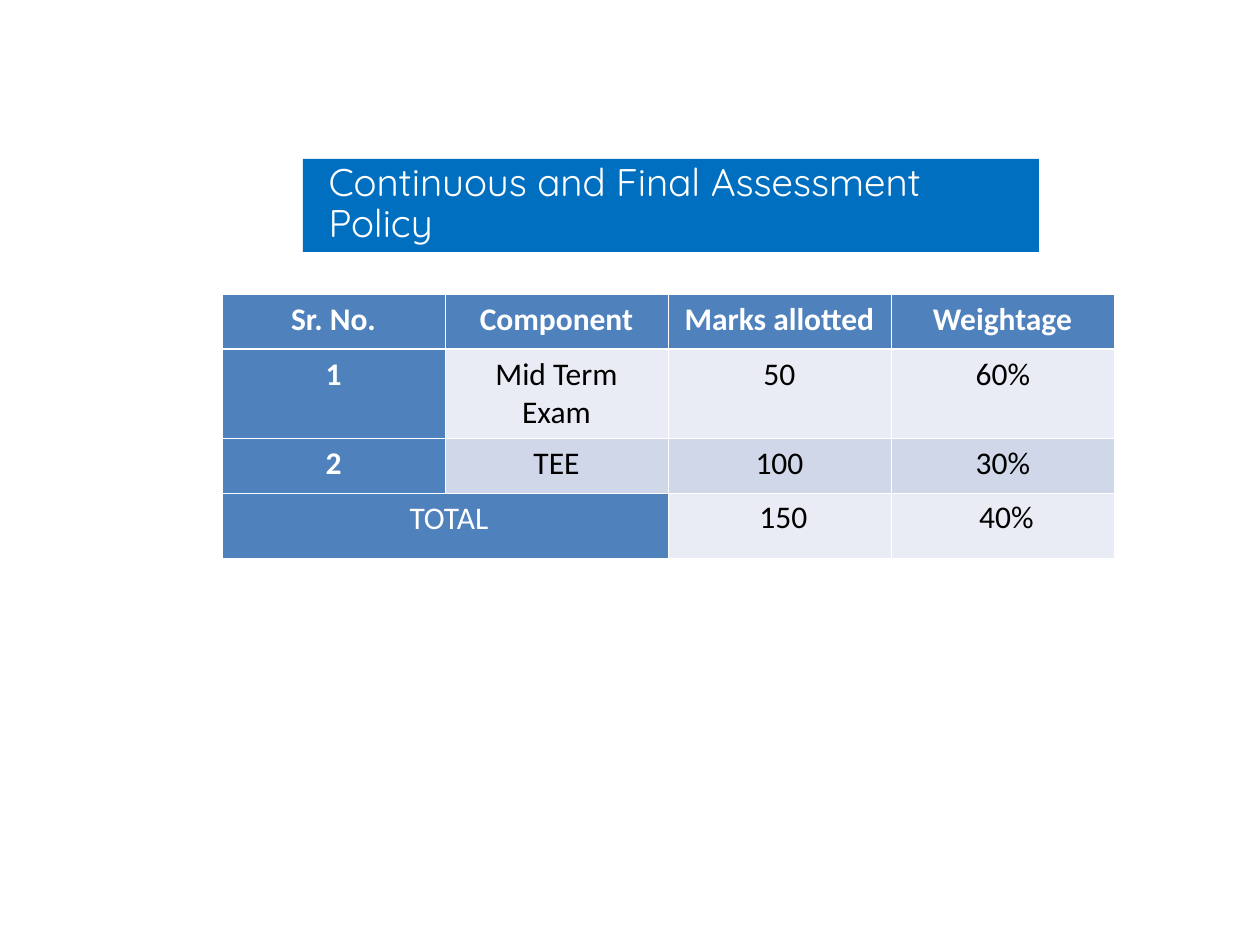
from dataclasses import dataclass

from lxml.etree import SubElement
from pptx import Presentation
from pptx.dml.color import RGBColor
from pptx.enum.text import MSO_ANCHOR, MSO_AUTO_SIZE, PP_ALIGN
from pptx.oxml.ns import qn
from pptx.util import Emu, Pt

PX = 914400 / 126


def px(length):
    return Emu(round(length * PX))


@dataclass(frozen=True)
class Theme:
    banner: str = "006FC0"
    header: str = "4F81BC"
    band_light: str = "E9ECF4"
    band_dark: str = "D0D7E8"
    white: str = "FFFFFF"
    black: str = "000000"
    title_font: str = "Quicksand"
    body_font: str = "Calibri"
    title_size: int = 22
    body_size: int = 18
    thin: float = 0.45
    thick: float = 1.47


class SlideBuilder:
    """Holds the theme and the slide being drawn."""

    def __init__(self, slide, theme):
        self.slide = slide
        self.theme = theme

    def style(self, para, font_name, size, color, bold=False, indent=0):
        """Format a paragraph's runs and its left indent."""
        properties = para._p.get_or_add_pPr()
        properties.set("marL", str(px(indent)))
        properties.set("indent", "0")
        for span in para.runs:
            span.font.name = font_name
            span.font.size = Pt(size)
            span.font.bold = bold
            span.font.color.rgb = RGBColor.from_string(color)

    def title(self, text, left, top, width, height):
        theme = self.theme
        box = self.slide.shapes.title
        box.left, box.top, box.width, box.height = map(px, (left, top, width, height))
        box.fill.solid()
        box.fill.fore_color.rgb = RGBColor.from_string(theme.banner)
        frame = box.text_frame
        frame.text = text
        frame.word_wrap = True
        frame.auto_size = MSO_AUTO_SIZE.NONE
        frame.vertical_anchor = MSO_ANCHOR.TOP
        frame.margin_top = px(4)
        para = frame.paragraphs[0]
        para.alignment = PP_ALIGN.LEFT
        para.line_spacing = 0.9
        self.style(para, theme.title_font, theme.title_size, theme.white, indent=13)

    def cell(self, cell, text, fill, color, bold=False, indent=0):
        theme = self.theme
        cell.fill.solid()
        cell.fill.fore_color.rgb = RGBColor.from_string(fill)
        cell.text = text
        para = cell.text_frame.paragraphs[0]
        para.alignment = PP_ALIGN.CENTER
        self.style(para, theme.body_font, theme.body_size, color, bold, indent)
        return para

    def borders(self, cell, top, bottom):
        """Draw white borders; top and bottom are widths in points."""
        thin = self.theme.thin
        properties = cell._tc.get_or_add_tcPr()
        for side, width in zip("LRTB", (thin, thin, top, bottom)):
            line = SubElement(properties, qn(f"a:ln{side}"), w=str(Pt(width)))
            fill = SubElement(line, qn("a:solidFill"))
            SubElement(fill, qn("a:srgbClr"), val=self.theme.white)

    def table(self, rows, left, top, column_width, row_heights):
        """Draw a table with a header row, a header column and a total row."""
        theme = self.theme
        last_row, last_column = len(rows) - 1, len(rows[0]) - 1
        frame = self.slide.shapes.add_table(
            len(rows), len(rows[0]), px(left), px(top),
            px(column_width * len(rows[0])), px(sum(row_heights)))
        table = frame.table
        table.horz_banding = False
        for column in table.columns:
            column.width = px(column_width)
        for row, height in zip(table.rows, row_heights):
            row.height = px(height)
        table.cell(last_row, 0).merge(table.cell(last_row, 1))

        for r, values in enumerate(rows):
            band = theme.band_light if r % 2 else theme.band_dark
            for c, text in enumerate(values):
                cell = table.cell(r, c)
                self.borders(cell, theme.thick if r == 1 else theme.thin,
                             theme.thick if r == 0 else theme.thin)
                if cell.is_spanned:
                    continue
                heading = r == 0 or c == 0
                total = r == last_row
                indent = 8 if total else int(r > 0 and c == last_column)
                para = self.cell(cell, text, theme.header if heading else band,
                                 theme.white if heading else theme.black,
                                 heading and not total, indent)
                if total and not heading:
                    para.line_spacing = Pt(21.1)


def main():
    deck = Presentation()
    deck.slide_width, deck.slide_height = px(1260), px(945)
    page = deck.slides.add_slide(deck.slide_layouts[5])
    builder = SlideBuilder(page, Theme())
    builder.title("Continuous and Final Assessment Policy", 303, 159, 736, 93)
    builder.table(
        [["Sr. No.", "Component", "Marks allotted", "Weightage"],
         ["1", "Mid Term Exam", "50", "60%"],
         ["2", "TEE", "100", "30%"],
         ["TOTAL", "", "150", "40%"]],
        left=222, top=294, column_width=223, row_heights=[55, 55, 55, 65])
    deck.save("out.pptx")


if __name__ == "__main__":
    main()
